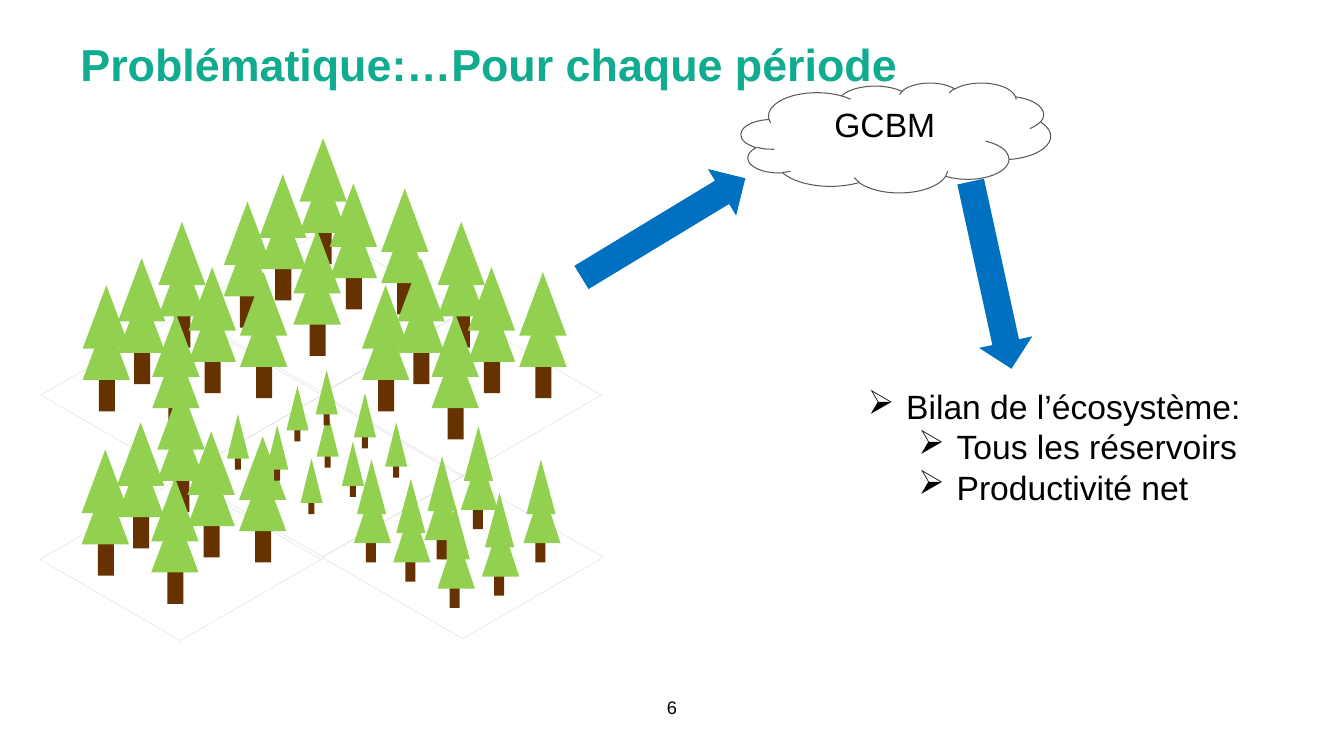
"""Build the slide linking a forest landscape to the GCBM model and its ecosystem outputs."""
from pptx import Presentation
from pptx.dml.color import RGBColor
from pptx.enum.shapes import MSO_SHAPE as SHAPE
from pptx.enum.text import MSO_ANCHOR as ANCHOR, PP_ALIGN as ALIGN
from pptx.oxml.ns import qn
from pptx.util import Inches, Pt
from lxml import etree

COLORS = {
    "title": "11AB90", "text": "000000", "leaf": "92D050", "trunk": "663300",
    "arrow": "0070C0", "white": "FFFFFF", "outline": "595959", "tile": "D9D9D9",
}

prs = Presentation()
prs.slide_width, prs.slide_height = Inches(13.33), Inches(7.5)
s = prs.slides.add_slide(prs.slide_layouts[6])


def add_shape(kind, x, y, w, h, fill=None, line=None, width=0.75):
    sp = s.shapes.add_shape(kind, Inches(x), Inches(y), Inches(w), Inches(h))
    sp.shadow.inherit = False
    if fill:
        sp.fill.solid()
        sp.fill.fore_color.rgb = RGBColor.from_string(COLORS[fill])
    else:
        sp.fill.background()
    if line:
        sp.line.color.rgb = RGBColor.from_string(COLORS[line])
        sp.line.width = Pt(width)
    else:
        sp.line.fill.background()
    return sp


def write(p, text, size, color="text", bold=False):
    p.text = text
    p.font.name, p.font.size, p.font.bold = "Arial", Pt(size), bold
    p.font.color.rgb = RGBColor.from_string(COLORS[color])


TILE_W, TILE_H = 2.79, 1.61
mature_tiles = [(3.2, 3.09), (1.8, 3.92), (4.57, 3.92), (1.79, 5.55)]
young_tiles = [(3.2, 4.72), (4.59, 5.53)]
for cx, cy in mature_tiles + young_tiles:
    add_shape(SHAPE.DIAMOND, cx - TILE_W / 2, cy - TILE_H / 2, TILE_W, TILE_H,
              line="tile", width=0.25)

tile_offsets = [(-0.23, -1.72), (-0.63, -1.36), (0.07, -1.27),
                (-0.29, -0.81), (-0.98, -1.09), (0.58, -1.22)]
mature_trees = [(cx + dx, cy + dy) for cx, cy in mature_tiles for dx, dy in tile_offsets]
medium_trees = [(4.37, 5.01), (4.81, 4.89), (3.93, 4.75), (4.24, 4.53),
                (5.22, 4.56), (4.6, 4.23), (3.54, 4.56)]
small_trees = [(2.98, 4.55), (3.39, 4.38), (3.14, 4.09), (3.82, 4.19), (3.51, 3.9),
               (2.84, 3.83), (2.64, 4.22), (2.25, 4.11), (3.13, 3.67)]

TRUNK, LEAF = (SHAPE.RECTANGLE, "trunk"), (SHAPE.ISOSCELES_TRIANGLE, "leaf")
mature_parts = [(TRUNK, 0.16, 0.86, 0.16, 0.39), (LEAF, 0, 0, 0.47, 0.63),
                (LEAF, 0, 0.31, 0.47, 0.63)]
medium_parts = [(TRUNK, 0.09, 0.57, 0.1, 0.45), (LEAF, 0, 0, 0.29, 0.54),
                (LEAF, -0.03, 0.27, 0.37, 0.56)]
small_parts = [(TRUNK, 0.08, 0.21, 0.06, 0.34), (LEAF, 0, 0, 0.22, 0.44)]

for trees, parts in [(mature_trees, mature_parts), (small_trees, small_parts),
                     (medium_trees, medium_parts)]:
    for x, y in trees:
        for (kind, fill), dx, dy, w, h in parts:
            add_shape(kind, x + dx, y + dy, w, h, fill)

title = s.shapes.add_textbox(Inches(0.7), Inches(0.12), Inches(11.33), Inches(0.83))
tf = title.text_frame
tf.word_wrap, tf.vertical_anchor = True, ANCHOR.BOTTOM
write(tf.paragraphs[0], "Problématique:…Pour chaque période", 32, "title", True)

number = s.shapes.add_textbox(Inches(6.3), Inches(6.82), Inches(0.73), Inches(0.39))
tf = number.text_frame
tf.word_wrap, tf.vertical_anchor = True, ANCHOR.MIDDLE
write(tf.paragraphs[0], "6", 13)
tf.paragraphs[0].alignment = ALIGN.CENTER

cloud = add_shape(SHAPE.CLOUD, 7.35, 0.82, 3.07, 1.09, "white", "outline")
tf = cloud.text_frame
tf.vertical_anchor = ANCHOR.TOP
write(tf.paragraphs[0], "GCBM", 24)
tf.paragraphs[0].alignment = ALIGN.CENTER

for x, y, angle in [(6.31, 1.31, 238.8), (9.56, 1.78, 347.7)]:
    add_shape(SHAPE.DOWN_ARROW, x, y, 0.54, 1.9, "arrow").rotation = angle

outputs = s.shapes.add_textbox(Inches(8.01), Inches(3.78), Inches(4.83), Inches(1.36))
tf = outputs.text_frame
tf.word_wrap = True
for i, (text, level, margin) in enumerate([("Bilan de l’écosystème:", 1, 0.88),
                                           ("Tous les réservoirs", 2, 1.38),
                                           ("Productivité net", 2, 1.38)]):
    p = tf.add_paragraph() if i else tf.paragraphs[0]
    write(p, text, 24)
    p.level = level
    pPr = p._p.get_or_add_pPr()
    pPr.set("marL", str(Inches(margin)))
    pPr.set("indent", str(Inches(-0.38)))
    bullet = etree.Element(qn("a:buChar"), char="➢")
    pPr.insert(0, bullet)

prs.save("out.pptx")
